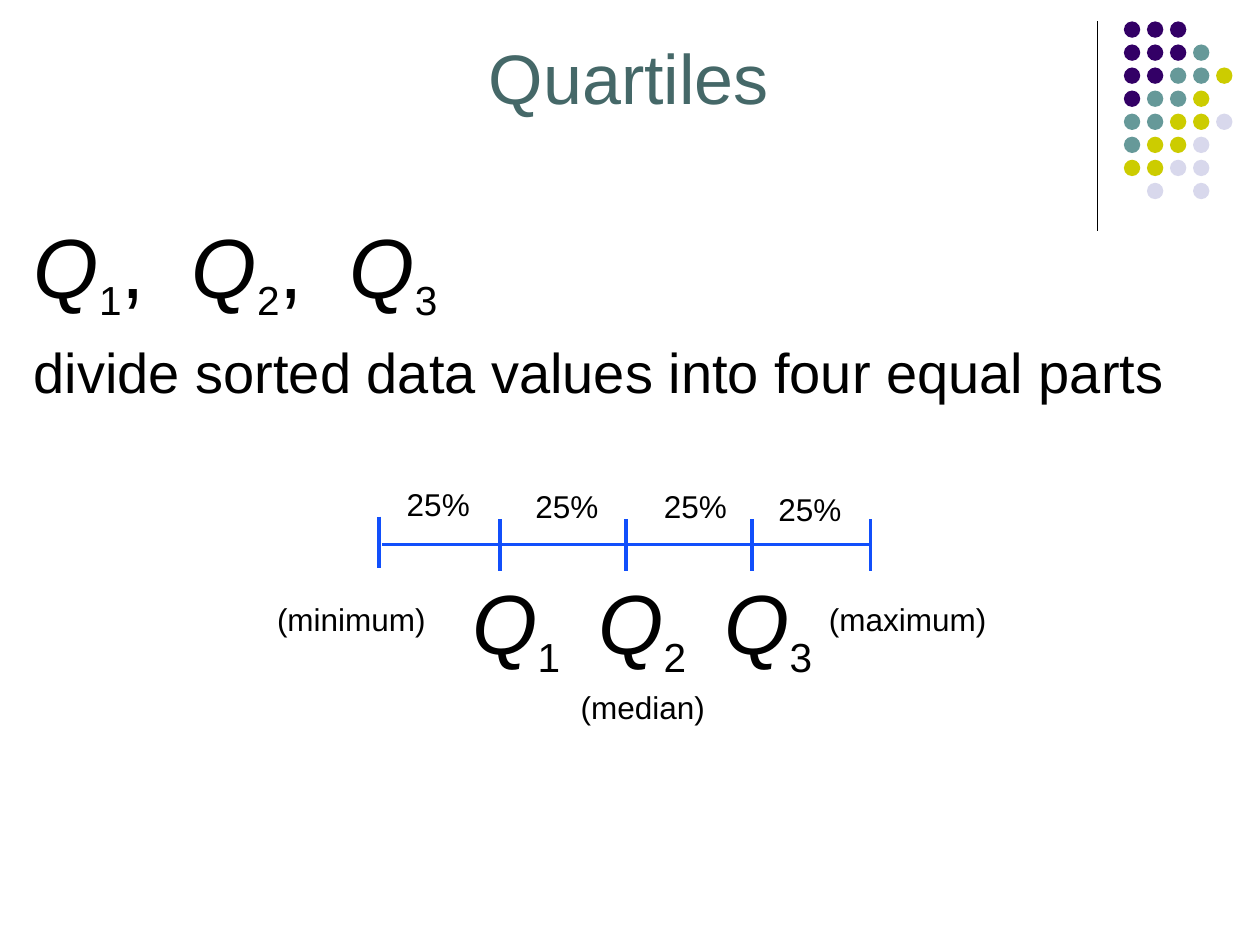
import pptx
import pptx.util
import pptx.dml.color
import pptx.enum.shapes
import pptx.enum.text
import lxml.etree
import pptx.oxml.ns

BLACK = pptx.dml.color.RGBColor(0x00, 0x00, 0x00)
TITLE = pptx.dml.color.RGBColor(0x45, 0x68, 0x68)
BLUE = pptx.dml.color.RGBColor(0x11, 0x4F, 0xFB)
DOT_COLORS = {
    "P": pptx.dml.color.RGBColor(0x33, 0x00, 0x66),
    "T": pptx.dml.color.RGBColor(0x66, 0x99, 0x99),
    "Y": pptx.dml.color.RGBColor(0xCC, 0xCC, 0x00),
    "L": pptx.dml.color.RGBColor(0xD8, 0xD8, 0xEC),
}

prs = pptx.Presentation()
prs.slide_width = pptx.util.Inches(10)
prs.slide_height = pptx.util.Inches(7.5)
COL = prs.slide_width / 100
ROW = prs.slide_height / 75
s = prs.slides.add_slide(prs.slide_layouts[5])


def write(p, text, size=18, color=BLACK, italic=False, sub=""):
    for part in (text, sub):
        if part:
            r = p.add_run()
            r.text = part
            r.font.name = "Arial"
            r.font.size = pptx.util.Pt(40 if part is sub else size)
            r.font.italic = italic and part is not sub
            r.font.color.rgb = color
            if part is sub:
                r._r.get_or_add_rPr().set("baseline", "-25000")


def add_line(x1, y1, x2, y2, color=BLUE, width=2):
    line = s.shapes.add_connector(
        pptx.enum.shapes.MSO_CONNECTOR.STRAIGHT,
        int(x1 * COL), int(y1 * ROW), int(x2 * COL), int(y2 * ROW))
    line.line.color.rgb = color
    line.line.width = pptx.util.Pt(width)
    lxml.etree.SubElement(line._element.spPr, pptx.oxml.ns.qn("a:effectLst"))


add_line(87.1, 1.7, 87.1, 18.3, BLACK, 0.75)

dots = ["PPP", "PPPT", "PPTTY", "PTTY", "TTYYL", "TYYL", "YYLL", " L L"]
for row, codes in enumerate(dots):
    for col, code in enumerate(codes):
        if code in DOT_COLORS:
            sp = s.shapes.add_shape(
                pptx.enum.shapes.MSO_SHAPE.OVAL,
                int((89.2 + 1.83 * col) * COL), int((1.7 + 1.83 * row) * ROW),
                int(1.3 * COL), int(1.3 * ROW))
            sp.shadow.inherit = False
            sp.fill.solid()
            sp.fill.fore_color.rgb = DOT_COLORS[code]
            sp.line.fill.background()

title = s.shapes.title
title.left, title.top = int(7.4 * COL), int(1.3 * ROW)
title.width, title.height = int(85 * COL), int(9.5 * ROW)
tf = title.text_frame
tf.vertical_anchor = pptx.enum.text.MSO_ANCHOR.MIDDLE
tf.paragraphs[0].alignment = pptx.enum.text.PP_ALIGN.CENTER
write(tf.paragraphs[0], "Quartiles", size=40, color=TITLE)

body = s.shapes.add_textbox(
    int(1.7 * COL), int(16.5 * ROW), int(97.5 * COL), int(45 * ROW))
tf = body.text_frame
tf.word_wrap = True
p = tf.paragraphs[0]
for number in "123":
    write(p, "Q", size=48, italic=True, sub=number)
    if number != "3":
        write(p, ",  ", size=48)
p = tf.add_paragraph()
p.space_before = pptx.util.Pt(8)
write(p, "divide sorted data values into four equal parts", size=32)

add_line(30.3, 43.2, 69, 43.2)
for x, y in [(30.1, 41), (39.7, 41.2), (49.7, 41.2), (59.7, 41.2), (69.1, 41.2)]:
    add_line(x, y, x, y + 4.1)

labels = [
    ("25%", "", 31.3, 38, 7),
    ("25%", "", 41.5, 38.2, 7),
    ("25%", "", 51.7, 38.2, 7),
    ("25%", "", 60.8, 38.4, 7),
    ("(minimum)", "", 21, 47.1, 13.8),
    ("(maximum)", "", 64.8, 47.1, 14.5),
    ("(median)", "", 45.1, 54.1, 11.9),
]
labels += [("Q", str(n), 26.5 + 10 * n, 44.8, 9) for n in (1, 2, 3)]
for text, sub, x, y, width in labels:
    height = 9.7 if sub else 4
    label = s.shapes.add_textbox(
        int(x * COL), int(y * ROW), int(width * COL), int(height * ROW))
    tf = label.text_frame
    tf.word_wrap = False
    tf.auto_size = pptx.enum.text.MSO_AUTO_SIZE.SHAPE_TO_FIT_TEXT
    write(tf.paragraphs[0], text, size=48 if sub else 18, italic=bool(sub), sub=sub)

prs.save("out.pptx")
